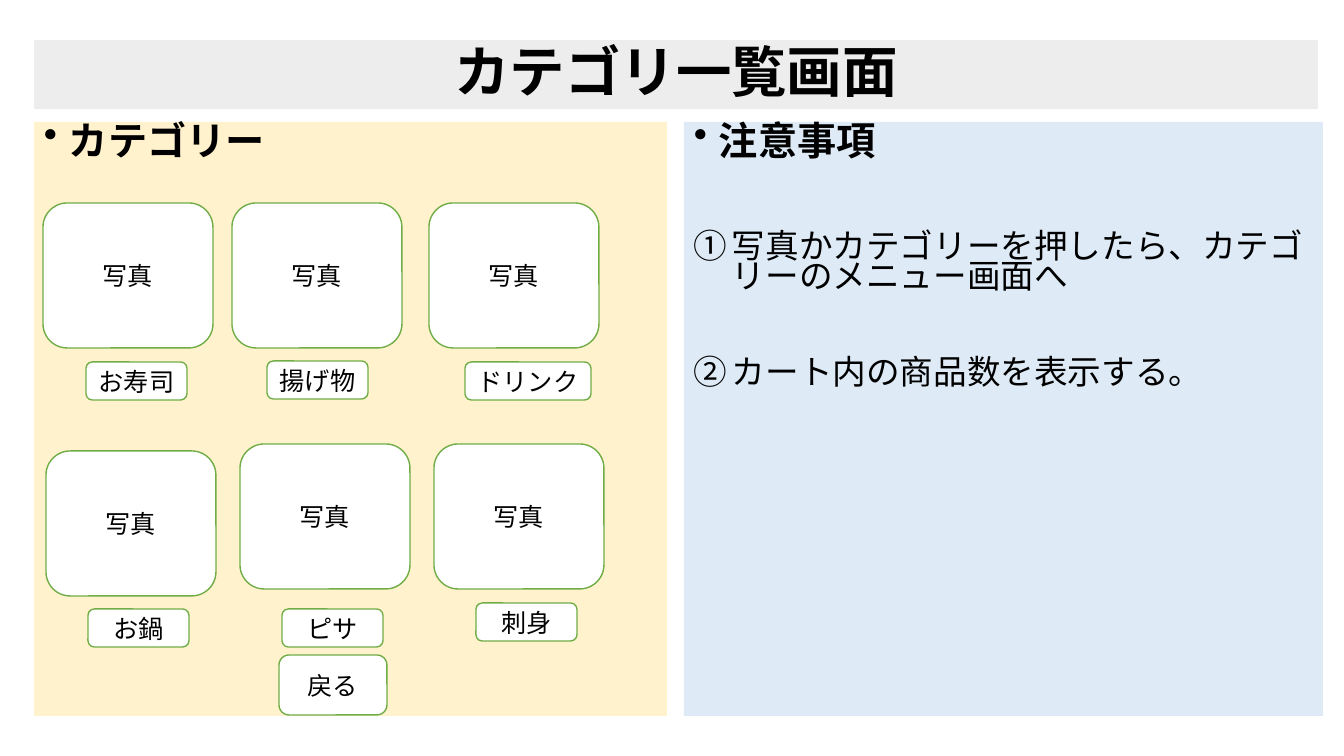
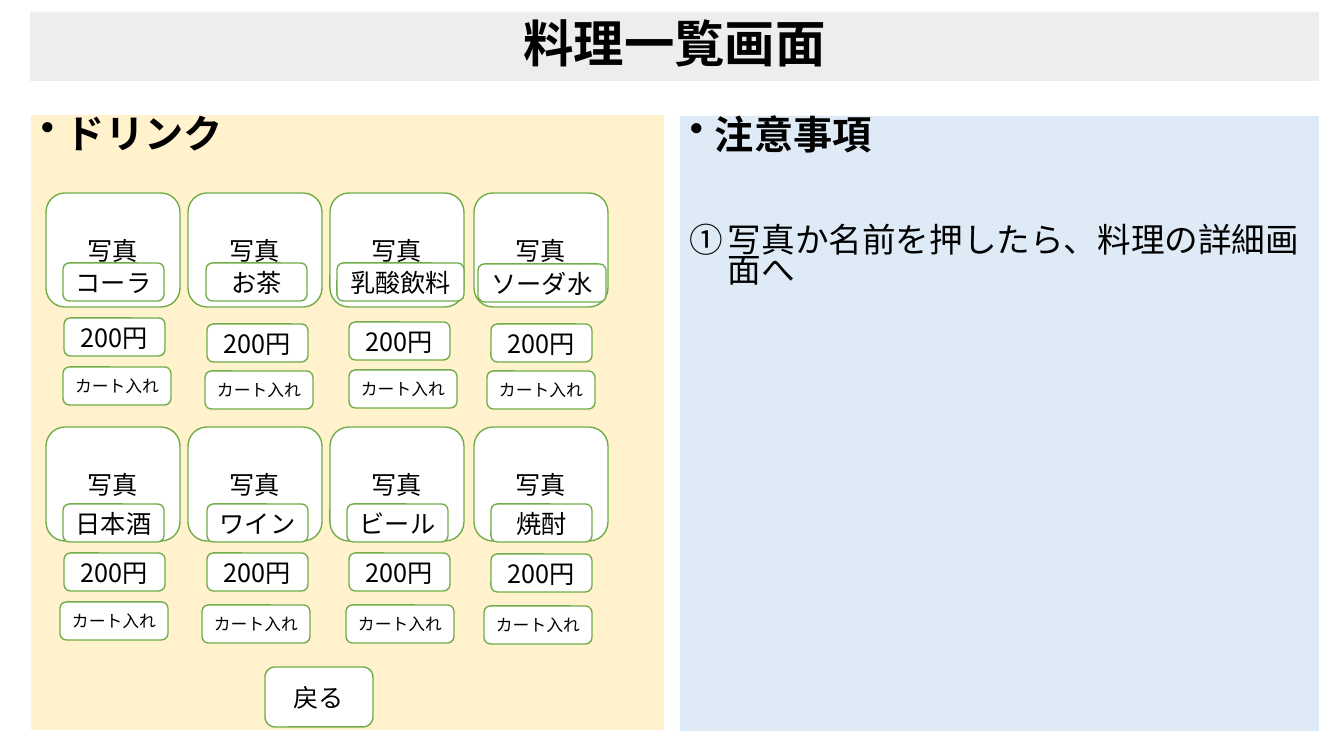
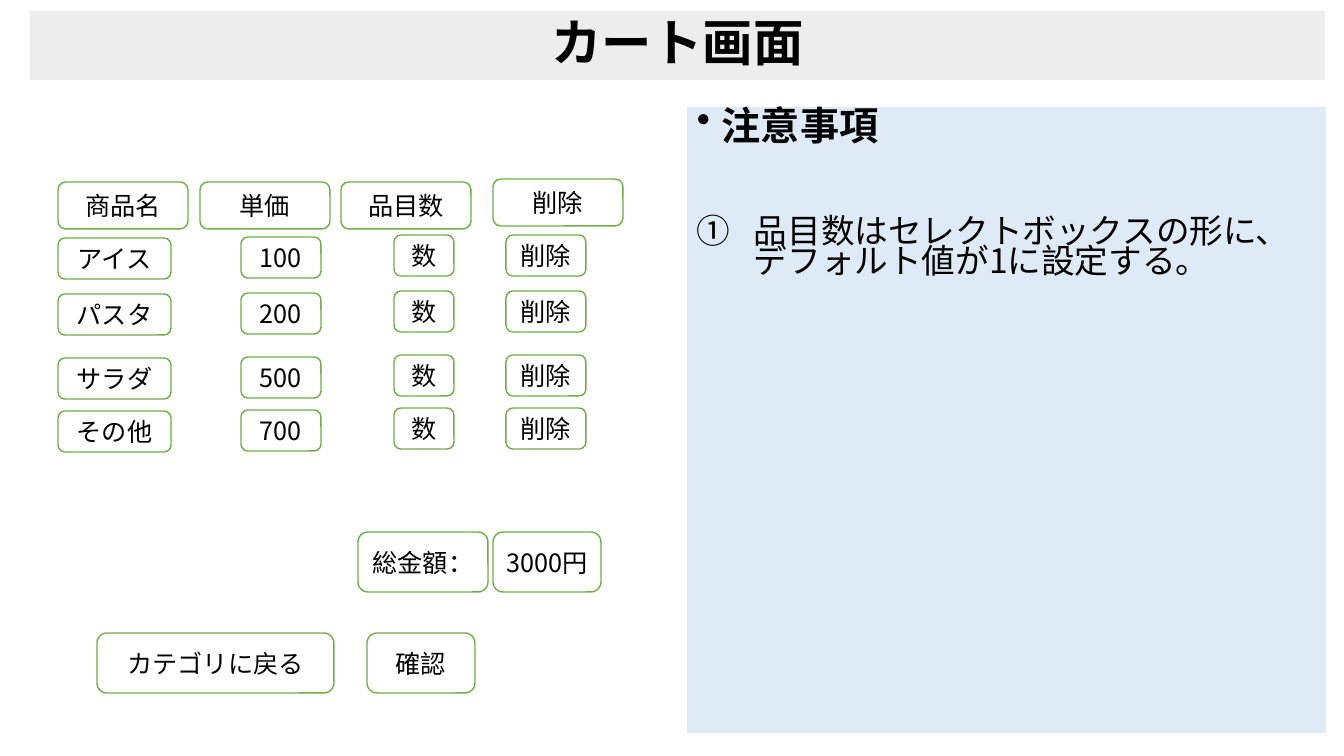
from lxml import etree
from pptx import Presentation
from pptx.dml.color import RGBColor
from pptx.enum.shapes import MSO_SHAPE
from pptx.enum.text import MSO_ANCHOR, PP_ALIGN
from pptx.oxml.ns import qn
from pptx.util import Emu, Pt

SCALE = 914400 / 100.8
FONT = "Noto Sans CJK JP"
BLACK = RGBColor(0x00, 0x00, 0x00)
WHITE = RGBColor(0xFF, 0xFF, 0xFF)
GREY = RGBColor(0xED, 0xED, 0xED)
CREAM = RGBColor(0xFF, 0xF2, 0xCC)
BLUE = RGBColor(0xDE, 0xEB, 0xF7)
GREEN = RGBColor(0x70, 0xAD, 0x47)


def px(value):
    return Emu(round(value * SCALE))


class Deck:
    """Draws screen mock-ups in one shared style."""

    def __init__(self):
        self.prs = Presentation()
        self.prs.slide_width, self.prs.slide_height = px(1344), px(756)

    def add_slide(self):
        self.slide = self.prs.slides.add_slide(self.prs.slide_layouts[6])

    def box(self, kind, place, fill, anchor):
        shape = self.slide.shapes.add_shape(kind, *map(px, place))
        shape.shadow.inherit = False
        shape.fill.solid()
        shape.fill.fore_color.rgb = fill
        shape.line.fill.background()
        shape.text_frame.word_wrap = True
        shape.text_frame.vertical_anchor = anchor
        return shape

    def add_text(self, paragraph, text, size, bold=False, align=PP_ALIGN.CENTER):
        paragraph.alignment = align
        run = paragraph.add_run()
        run.text = text
        run.font.size, run.font.bold, run.font.name = Pt(size), bold, FONT
        run.font.color.rgb = BLACK
        etree.SubElement(run._r.rPr, qn("a:ea"), typeface=FONT)

    def bullet(self, paragraph, indent, tag, **attributes):
        properties = paragraph._p.get_or_add_pPr()
        properties.set("marL", str(px(indent)))
        properties.set("indent", str(-px(indent)))
        etree.SubElement(properties, qn(tag), **attributes)

    def title(self, text, place, size=36):
        band = self.box(MSO_SHAPE.RECTANGLE, place, GREY, MSO_ANCHOR.MIDDLE)
        paragraph = band.text_frame.paragraphs[0]
        paragraph.line_spacing = 0.9
        self.add_text(paragraph, text, size, bold=True)

    def panel(self, heading, place, fill, items=(), indent=38):
        frame = self.box(MSO_SHAPE.RECTANGLE, place, fill, MSO_ANCHOR.TOP).text_frame
        paragraph = frame.paragraphs[0]
        paragraph.line_spacing = 0.76
        self.add_text(paragraph, heading, 28, bold=True, align=PP_ALIGN.LEFT)
        self.bullet(paragraph, 25, "a:buChar", char="•")
        for index, item in enumerate(items):
            paragraph = frame.add_paragraph()
            paragraph.line_spacing = 0.76
            paragraph.space_before = Pt(46.4 if index else 50.8)
            self.add_text(paragraph, item, 24, align=PP_ALIGN.LEFT)
            self.bullet(paragraph, indent, "a:buAutoNum", type="circleNumDbPlain")

    def button(self, text, x, y, width=101, height=38, size=18):
        shape = self.box(MSO_SHAPE.ROUNDED_RECTANGLE, (x, y, width, height),
                         WHITE, MSO_ANCHOR.MIDDLE)
        shape.line.color.rgb = GREEN
        shape.line.width = Pt(1)
        self.add_text(shape.text_frame.paragraphs[0], text, size)


def category_screen(deck):
    deck.add_slide()
    deck.title("カテゴリ一覧画面", (34, 40, 1284, 69), 39.6)
    deck.panel("カテゴリー", (34, 122, 633, 594), CREAM)
    deck.panel("注意事項", (684, 122, 639, 594), BLUE,
               ["写真かカテゴリーを押したら、カテゴリーのメニュー画面へ",
                "カート内の商品数を表示する。"])
    categories = [
        ("お寿司", (43, 203), (86, 362)),
        ("揚げ物", (232, 203), (267, 361)),
        ("ドリンク", (429, 203), (465, 362, 126)),
        ("お鍋", (46, 451), (88, 609)),
        ("ピサ", (240, 444), (282, 609)),
        ("刺身", (434, 444), (476, 603)),
    ]
    for name, photo, label in categories:
        deck.button("写真", *photo, 170, 145)
        deck.button(name, *label)
    deck.button("戻る", 279, 655, 108, 60)


def dish_screen(deck):
    deck.add_slide()
    deck.title("料理一覧画面", (30, 12, 1289, 69))
    deck.panel("ドリンク", (31, 115, 633, 615), CREAM)
    deck.panel("注意事項", (680, 116, 639, 615), BLUE,
               ["写真か名前を押したら、料理の詳細画面へ"])
    photo_lefts = (46, 188, 330, 474)
    price_lefts = (64, 207, 349, 491)
    drink_rows = [
        (193, [("コーラ", (63, 263), 318, (63, 367)),
               ("お茶", (206, 263), 324, (205, 371)),
               ("乳酸飲料", (337, 263, 127), 322, (349, 370)),
               ("ソーダ水", (478, 264, 128), 324, (487, 371))]),
        (427, [("日本酒", (63, 504), 553, (60, 602)),
               ("ワイン", (207, 504), 553, (202, 605)),
               ("ビール", (347, 504), 553, (346, 605)),
               ("焼酎", (491, 504), 554, (484, 606))]),
    ]
    for photo_top, drinks in drink_rows:
        for photo_left, price_left, drink in zip(photo_lefts, price_lefts, drinks):
            name, label, price_top, cart = drink
            deck.button("写真", photo_left, photo_top, 134, 114)
            deck.button(name, *label)
            deck.button("200円", price_left, price_top)
            deck.button("カート入れ", *cart, 108, size=12)
    deck.button("戻る", 265, 667, 108, 60)


def cart_screen(deck):
    deck.add_slide()
    deck.title("カート画面", (30, 11, 1295, 69))
    deck.panel("注意事項", (687, 107, 639, 626), BLUE,
               ["品目数はセレクトボックスの形に、デフォルト値が1に設定する。"], 57)
    headers = [("商品名", 58, 182), ("単価", 200, 182),
               ("品目数", 341, 182), ("削除", 493, 179)]
    for header in headers:
        deck.button(*header, 130, 47)
    columns = [(58, 0, 113), (241, -1, 80), (394, -3, 60), (506, -3, 80)]
    products = [("アイス", "100", 238), ("パスタ", "200", 294),
                ("サラダ", "500", 358), ("その他", "700", 411)]
    for name, price, top in products:
        for text, (left, shift, width) in zip((name, price, "数", "削除"), columns):
            deck.button(text, left, top + shift, width, 41)
    deck.button("総金額：", 358, 532, 130, 60)
    deck.button("3000円", 493, 532, 108, 60)
    deck.button("カテゴリに戻る", 97, 633, 237, 60)
    deck.button("確認", 367, 633, 108, 60)


deck = Deck()
for screen in (category_screen, dish_screen, cart_screen):
    screen(deck)
deck.prs.save("out.pptx")
